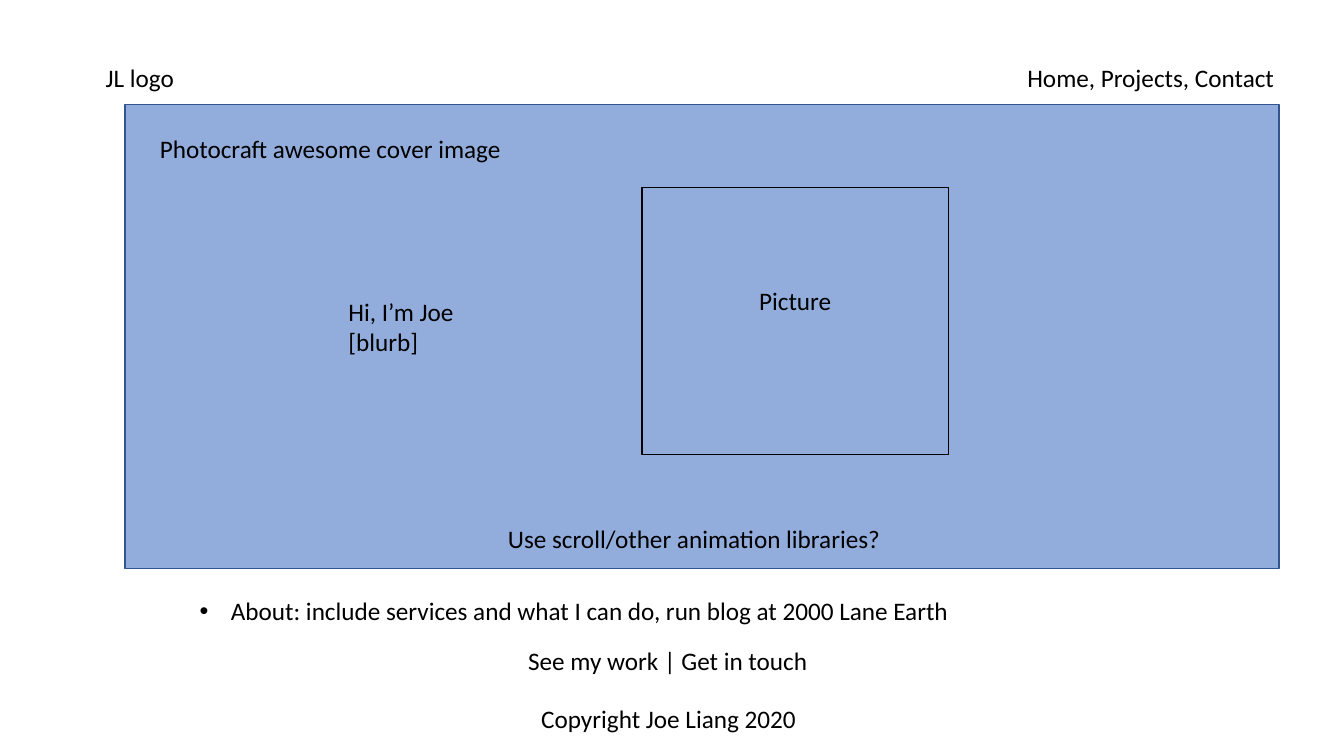
from dataclasses import dataclass
from typing import Optional

from lxml import etree
from pptx import Presentation
from pptx import util as u
from pptx.dml.color import RGBColor
from pptx.enum import shapes, text
from pptx.oxml import ns

BLACK = RGBColor(0x00, 0x00, 0x00)
COVER_BLUE = RGBColor(0x44, 0x72, 0xC4)
COVER_EDGE = RGBColor(0x32, 0x54, 0x91)
LINE_HEIGHT = 0.78
BULLET_INDENT = u.Cm(0.79)


@dataclass
class Panel:
    left: float
    top: float
    width: float
    height: float
    edge: RGBColor
    edge_pt: float
    fill: Optional[RGBColor] = None
    opacity: int = 100


@dataclass
class Label:
    left: float
    top: float
    width: float
    lines: tuple[str, ...]
    wrap: bool = False
    align: text.PP_ALIGN = text.PP_ALIGN.LEFT
    bullet: bool = False


COVER = Panel(3.15, 2.64, 29.08, 11.68, COVER_EDGE, 1, COVER_BLUE, 58)
PORTRAIT = Panel(16.18, 4.72, 7.72, 6.73, BLACK, 0.75)

LABELS = [
    Label(12.55, 13.06, 10.01, ("Use scroll/other animation libraries?",)),
    Label(19.91, 1.45, 12.45, ("Home, Projects, Contact",), True, text.PP_ALIGN.RIGHT),
    Label(2.41, 1.45, 2.36, ("JL logo",), True),
    Label(8.53, 7.34, 3.2, ("Hi, I’m Joe", "[blurb]")),
    Label(3.78, 3.23, 9.27, ("Photocraft awesome cover image",)),
    Label(4.78, 14.88, 19.76,
          ("About: include services and what I can do, run blog at 2000 Lane Earth",),
          bullet=True),
    Label(13.06, 16.13, 7.62, ("See my work | Get in touch",)),
    Label(13.39, 17.6, 7.01, ("Copyright Joe Liang 2020",)),
]


def write_line(p, line: str, align: text.PP_ALIGN) -> None:
    p.alignment = align
    r = p.add_run()
    r.text = line
    r.font.name = "Calibri"
    r.font.size = u.Pt(18)
    r.font.color.rgb = BLACK


def add_bullet(p) -> None:
    props = p._p.get_or_add_pPr()
    props.set("marL", str(BULLET_INDENT))
    props.set("indent", str(-BULLET_INDENT))
    etree.SubElement(props, ns.qn("a:buFont"), typeface="Arial")
    etree.SubElement(props, ns.qn("a:buChar"), char="•")


def add_panel(s, panel: Panel):
    sp = s.shapes.add_shape(
        shapes.MSO_SHAPE.RECTANGLE,
        u.Cm(panel.left), u.Cm(panel.top), u.Cm(panel.width), u.Cm(panel.height),
    )
    sp.shadow.inherit = False
    sp.line.color.rgb = panel.edge
    sp.line.width = u.Pt(panel.edge_pt)
    if panel.fill is None:
        sp.fill.background()
    else:
        sp.fill.solid()
        sp.fill.fore_color.rgb = panel.fill
        color = sp._element.spPr.find(ns.qn("a:solidFill"))[0]
        etree.SubElement(color, ns.qn("a:alpha"), val=str(panel.opacity * 1000))
    return sp


def add_label(s, label: Label) -> None:
    height = 0.25 + LINE_HEIGHT * len(label.lines)
    sp = s.shapes.add_textbox(
        u.Cm(label.left), u.Cm(label.top), u.Cm(label.width), u.Cm(height)
    )
    tf = sp.text_frame
    tf.word_wrap = label.wrap
    tf.auto_size = text.MSO_AUTO_SIZE.SHAPE_TO_FIT_TEXT
    for i, line in enumerate(label.lines):
        p = tf.add_paragraph() if i else tf.paragraphs[0]
        write_line(p, line, label.align)
        if label.bullet:
            add_bullet(p)


def main() -> None:
    prs = Presentation()
    prs.slide_width, prs.slide_height = u.Cm(33.87), u.Cm(19.05)
    s = prs.slides.add_slide(prs.slide_layouts[6])
    add_panel(s, COVER)
    tf = add_panel(s, PORTRAIT).text_frame
    tf.vertical_anchor = text.MSO_ANCHOR.TOP
    tf.margin_top = u.Cm(2.46)
    write_line(tf.paragraphs[0], "Picture", text.PP_ALIGN.CENTER)
    for label in LABELS:
        add_label(s, label)
    prs.save("out.pptx")


if __name__ == "__main__":
    main()
